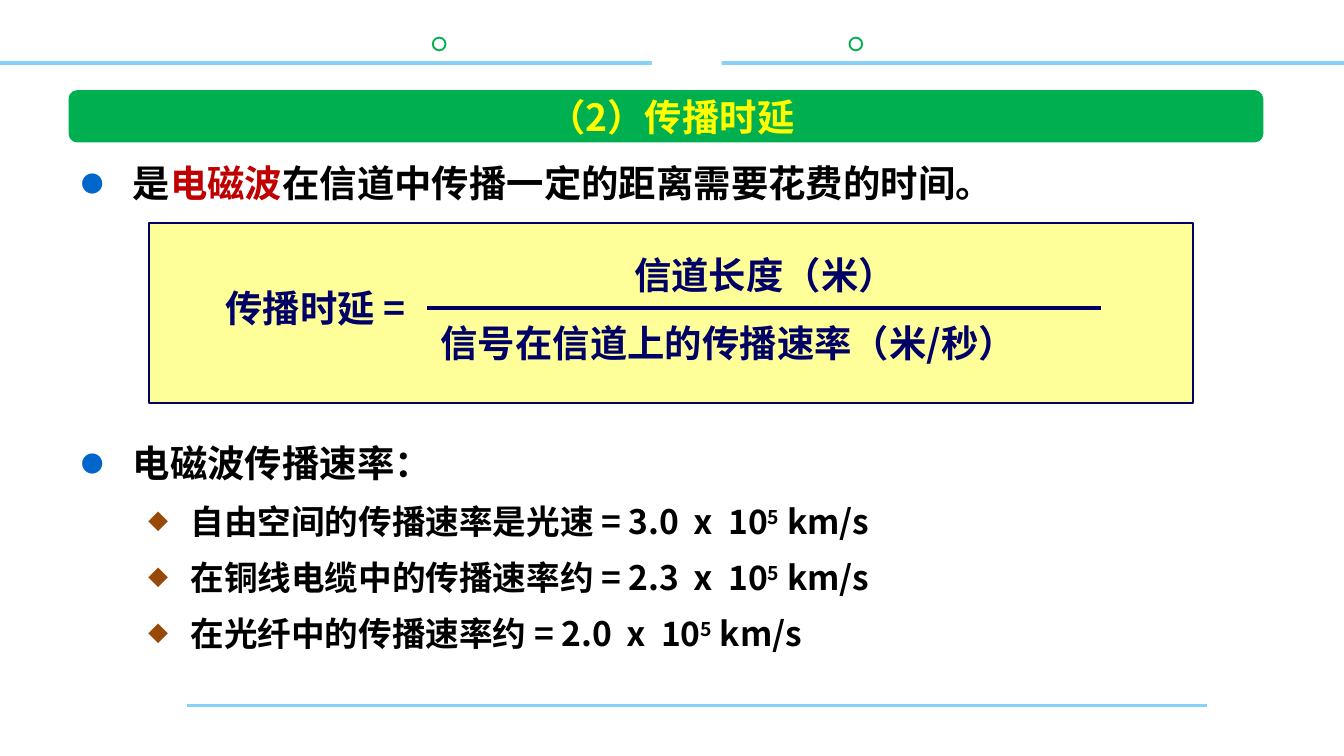
from dataclasses import dataclass

from lxml.etree import SubElement
from pptx import Presentation
from pptx.dml.color import RGBColor
from pptx.enum.shapes import MSO_CONNECTOR as Link, MSO_SHAPE as Preset
from pptx.enum.text import MSO_ANCHOR as Anchor, MSO_AUTO_SIZE as Fit, PP_ALIGN as Align
from pptx.oxml.ns import qn
from pptx.util import Inches, Pt

CELL = Inches(0.1)
COLUMNS, ROWS = 100, 56.25


@dataclass(frozen=True)
class Theme:
    """Colours, font and type sizes of the slide."""
    font: str = "Noto Sans CJK SC"
    paper: str = "FFFFFF"
    ink: str = "000000"
    rule: str = "85D1F7"
    green: str = "00B050"
    title: str = "FFFF00"
    stress: str = "C00000"
    navy: str = "000066"
    panel: str = "FFFF99"
    disc: str = "0066CC"
    diamond: str = "984807"
    large: int = 20
    small: int = 18
    leading: int = 30


THEME = Theme()


@dataclass(frozen=True)
class Box:
    """A region measured in grid cells."""
    left: float
    top: float
    width: float
    height: float

    def area(self, left, top, width, height):
        """Return a region placed relative to this one."""
        return Box(self.left + left, self.top + top, width, height)

    def emu(self):
        """Return the region as slide lengths."""
        return [round(n * CELL) for n in (self.left, self.top, self.width, self.height)]


def rgb(colour):
    """Turn a hex string into a colour."""
    return RGBColor.from_string(colour)


def draw_shape(slide, preset, box, fill, line=None):
    """Add a flat preset shape."""
    shape = slide.shapes.add_shape(preset, *box.emu())
    shape.shadow.inherit = False
    shape.fill.solid()
    shape.fill.fore_color.rgb = rgb(fill)
    if line:
        shape.line.color.rgb = rgb(line)
        shape.line.width = Pt(1)
    else:
        shape.line.fill.background()
    return shape


def draw_rule(slide, box, colour, weight):
    """Add a horizontal line along the top of a region."""
    left, top, width, _ = box.emu()
    rule = slide.shapes.add_connector(Link.STRAIGHT, left, top, left + width, top)
    rule.line.color.rgb = rgb(colour)
    rule.line.width = Pt(weight)
    SubElement(rule._element.spPr, qn("a:effectLst"))


def set_font(paragraph, size, colour):
    """Set the shared bold font of a paragraph."""
    font = paragraph.font
    font.name, font.size, font.bold = THEME.font, Pt(size), True
    font.color.rgb = rgb(colour)
    SubElement(font._element, qn("a:ea"), typeface=THEME.font)


def text_frame(slide, box):
    """Add a wrapping text box and return its frame."""
    frame = slide.shapes.add_textbox(*box.emu()).text_frame
    frame.word_wrap = True
    return frame


def label(slide, box, text, size, colour):
    """Add a one-line text and return its frame."""
    frame = text_frame(slide, box)
    frame.text = text
    set_font(frame.paragraphs[0], size, colour)
    return frame


def set_bullet(paragraph, mark, colour, margin, hang):
    """Give a paragraph its hanging bullet."""
    props = paragraph._p.get_or_add_pPr()
    props.set("marL", str(Inches(margin)))
    props.set("indent", str(-Inches(hang)))
    SubElement(SubElement(props, qn("a:buClr")), qn("a:srgbClr"), val=colour)
    SubElement(props, qn("a:buSzPct"), val="60000")
    SubElement(props, qn("a:buFont"), typeface=THEME.font)
    SubElement(props, qn("a:buChar"), char=mark)


def start_point(paragraph, level):
    """Format a bulleted paragraph of the given level."""
    paragraph.line_spacing = Pt(THEME.leading)
    paragraph.level = level
    if level:
        set_bullet(paragraph, "◆", THEME.diamond, 0.81, 0.31)
    else:
        set_bullet(paragraph, "●", THEME.disc, 0.38, 0.38)
    set_font(paragraph, THEME.small if level else THEME.large, THEME.ink)


def add_run(paragraph, text):
    """Append a run to a paragraph."""
    run = paragraph.add_run()
    run.text = text
    return run


def frame_rules(slide, box):
    """Draw the rules, the gap and the rings around the page."""
    for left in (32.2, 63.2):
        draw_shape(slide, Preset.OVAL, box.area(left, 2.8, 0.95, 0.95), THEME.paper, THEME.green)
    draw_rule(slide, box.area(13.9, 52.5, 75.9, 0), THEME.rule, 1.5)
    draw_rule(slide, box.area(0, 4.7, box.width, 0), THEME.rule, 2)
    draw_shape(slide, Preset.RECTANGLE, box.area(48.5, 1.4, 5.2, 5.1), THEME.paper)


def banner(slide, box):
    """Draw the green title bar."""
    draw_shape(slide, Preset.ROUNDED_RECTANGLE, box, THEME.green)
    title = label(slide, box.area(8.6, 0, 72.5, box.height), "（2）传播时延", THEME.large, THEME.title)
    title.vertical_anchor = Anchor.MIDDLE
    title.paragraphs[0].alignment = Align.CENTER


def definition(slide, box):
    """Write the definition with its stressed term."""
    point = text_frame(slide, box).paragraphs[0]
    start_point(point, 0)
    add_run(point, "是")
    add_run(point, "电磁波").font.color.rgb = rgb(THEME.stress)
    add_run(point, "在信道中传播一定的距离需要花费的时间。")


def formula(slide, box):
    """Draw the delay formula as a fraction on a panel."""
    draw_shape(slide, Preset.RECTANGLE, box, THEME.panel, THEME.navy)
    terms = (
        ("传播时延 =", 4.7, 4.1, 17.1),
        ("信道长度（米）", 35.1, 1.7, 23),
        ("信号在信道上的传播速率（米/秒）", 20.7, 6.7, 53.9),
    )
    for text, left, top, width in terms:
        term = label(slide, box.area(left, top, width, 4.4), text, THEME.large, THEME.navy)
        term.auto_size = Fit.SHAPE_TO_FIT_TEXT
    draw_rule(slide, box.area(20.7, 6.3, 50.1, 0), THEME.navy, 2.25)


def speeds(slide, box):
    """List the propagation speed of each medium."""
    frame = text_frame(slide, box)
    heading = frame.paragraphs[0]
    start_point(heading, 0)
    add_run(heading, "电磁波传播速率：")
    media = (("自由空间的传播速率是光速", "3.0"), ("在铜线电缆中的传播速率约", "2.3"), ("在光纤中的传播速率约", "2.0"))
    for medium, factor in media:
        point = frame.add_paragraph()
        start_point(point, 1)
        add_run(point, f"{medium} = {factor} ⅹ 10")
        add_run(point, "5")._r.get_or_add_rPr().set("baseline", "30000")
        add_run(point, " km/s")


def main():
    """Build and save the slide."""
    deck = Presentation()
    deck.slide_width, deck.slide_height = round(COLUMNS * CELL), round(ROWS * CELL)
    slide = deck.slides.add_slide(deck.slide_layouts[6])
    page = Box(0, 0, COLUMNS, ROWS)
    frame_rules(slide, page)
    banner(slide, page.area(5.1, 6.7, 88.9, 3.9))
    definition(slide, page.area(5.1, 10.6, 88.9, 5.2))
    formula(slide, page.area(11.1, 16.6, 77.7, 13.4))
    speeds(slide, page.area(5.1, 31.43, 88.9, 17.7))
    deck.save("out.pptx")


if __name__ == "__main__":
    main()
